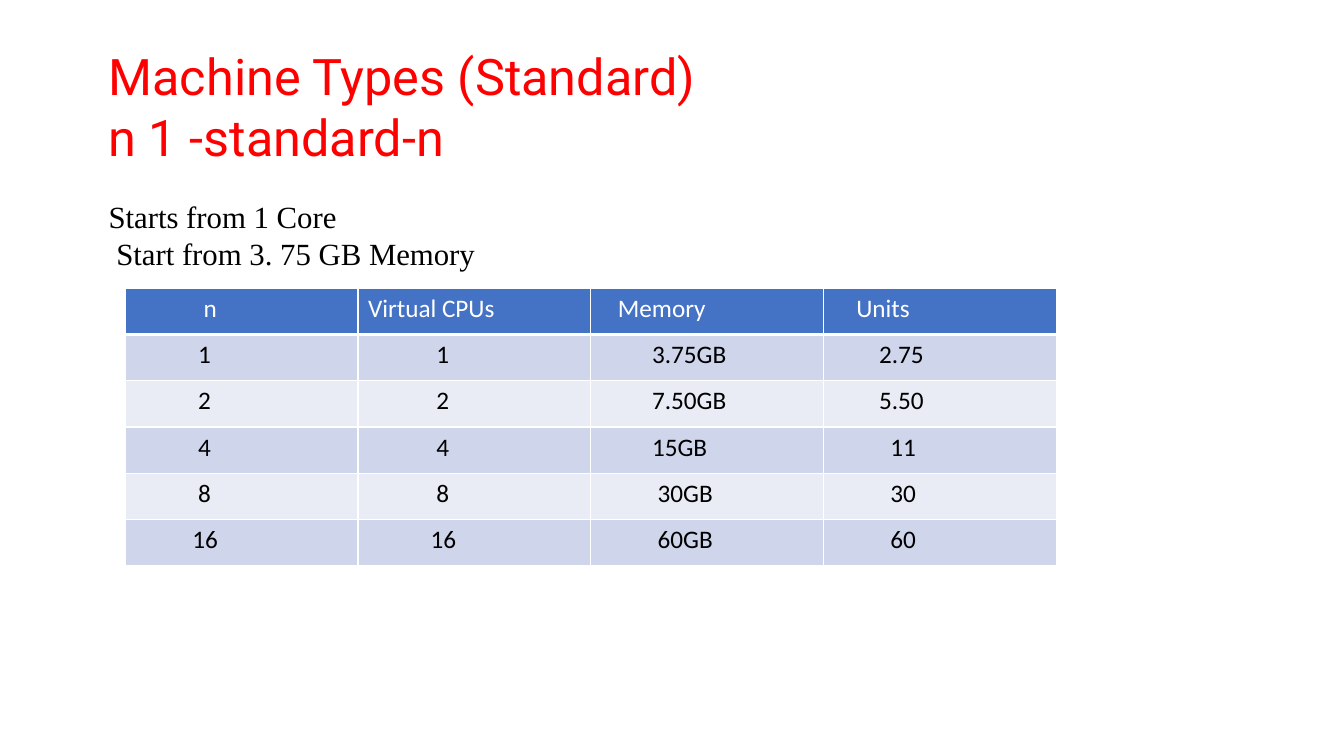
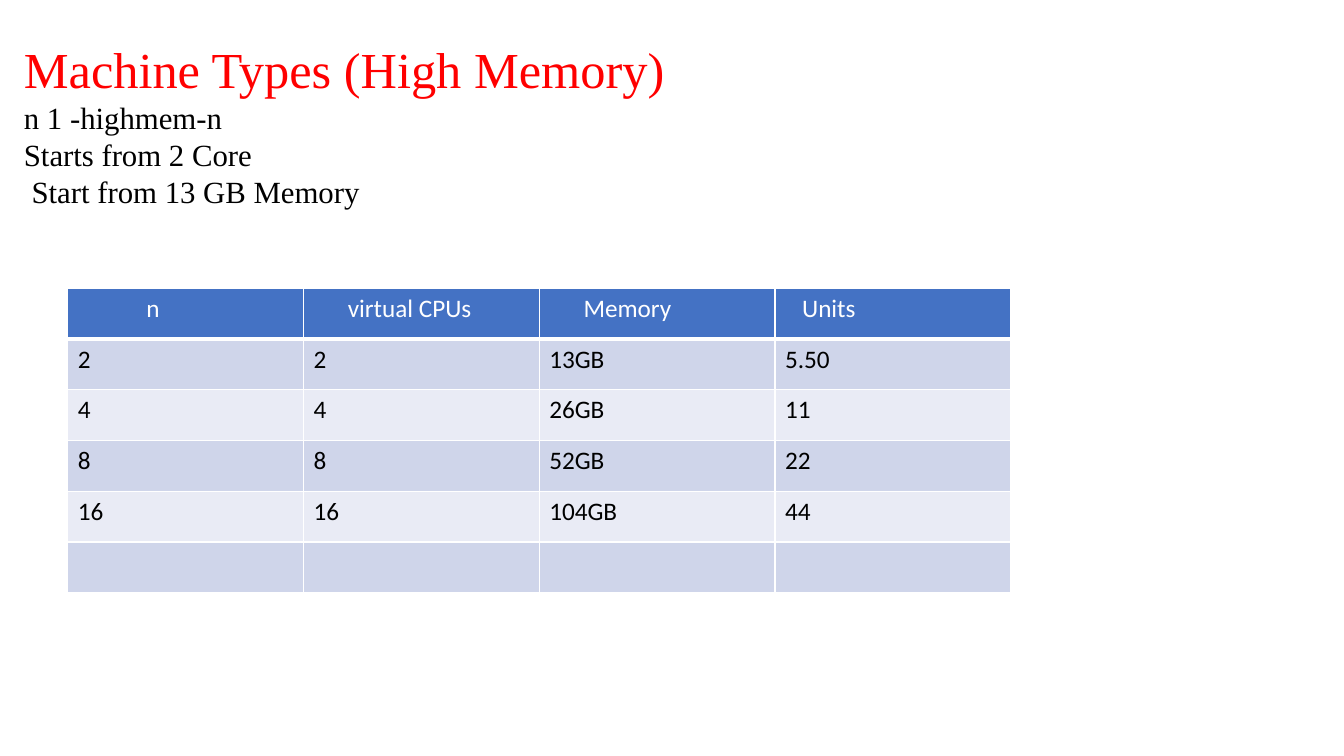
from pptx import Presentation
from pptx.dml.color import RGBColor
from pptx.enum.text import MSO_ANCHOR
from pptx.oxml import parse_xml
from pptx.oxml.ns import nsdecls
from pptx.util import Pt

RED = RGBColor(0xFF, 0x00, 0x00)
BLACK = RGBColor(0x00, 0x00, 0x00)
WHITE = RGBColor(0xFF, 0xFF, 0xFF)
HEADER_BLUE = RGBColor(0x44, 0x72, 0xC4)
BAND_DARK = RGBColor(0xCF, 0xD5, 0xEA)
BAND_LIGHT = RGBColor(0xE9, 0xEB, 0xF5)

SERIF = "Times New Roman"
ROBOTO_TITLE = {"name": "Roboto", "size": Pt(36), "color": RED}
SERIF_TITLE = {**ROBOTO_TITLE, "name": SERIF}
DETAIL = {"name": SERIF, "size": Pt(22), "color": BLACK}
HEADER = {"name": "Calibri", "size": Pt(18), "color": WHITE}
BODY = {**HEADER, "color": BLACK}

CELL_MARGIN = 7.2
INDENT_STEP = 4.07

STANDARD_ROWS = [
    ("n", "Virtual CPUs", "Memory", "Units"),
    ("1", "1", "3.75GB", "2.75"),
    ("2", "2", "7.50GB", "5.50"),
    ("4", "4", "15GB", "11"),
    ("8", "8", "30GB", "30"),
    ("16", "16", "60GB", "60"),
]
STANDARD_INDENTS = [
    (12, 0, 3, 4),
    (11, 12, 9, 8),
    (11, 12, 9, 8),
    (11, 12, 9, 10),
    (11, 12, 10, 10),
    (10, 11, 10, 10),
]
HIGH_MEMORY_ROWS = [
    ("n", "virtual CPUs", "Memory", "Units"),
    ("2", "2", "13GB", "5.50"),
    ("4", "4", "26GB", "11"),
    ("8", "8", "52GB", "22"),
    ("16", "16", "104GB", "44"),
    ("", "", "", ""),
]
HIGH_MEMORY_INDENTS = [(12, 6, 6, 3)] + [(0, 0, 0, 0)] * 5


def set_font(font, style):
    for attribute, value in style.items():
        if attribute == "color":
            font.color.rgb = value
        else:
            setattr(font, attribute, value)


def add_heading(slide, box, lines):
    frame = slide.shapes.add_textbox(*map(Pt, box)).text_frame
    frame.word_wrap = True
    for index, (text, style, gap) in enumerate(lines):
        paragraph = frame.add_paragraph() if index else frame.paragraphs[0]
        paragraph.space_before = Pt(gap)
        run = paragraph.add_run()
        run.text = text
        set_font(run.font, style)


def set_borders(cell, bottom_width):
    properties = cell._tc.get_or_add_tcPr()
    widths = {"lnL": 1, "lnR": 1, "lnT": 1, "lnB": bottom_width}
    for position, (side, width) in enumerate(widths.items()):
        border = parse_xml(
            f'<a:{side} {nsdecls("a")} w="{Pt(width)}"><a:solidFill>'
            f'<a:srgbClr val="{WHITE}"/></a:solidFill></a:{side}>'
        )
        properties.insert(position, border)


def fill_cell(cell, text, indent, row):
    style = BODY if row else HEADER
    banded = BAND_DARK if row % 2 else BAND_LIGHT
    cell.fill.solid()
    cell.fill.fore_color.rgb = banded if row else HEADER_BLUE
    set_borders(cell, 1 if row else 3)
    cell.vertical_anchor = MSO_ANCHOR.TOP
    cell.margin_left = Pt(CELL_MARGIN + indent * INDENT_STEP)
    paragraph = cell.text_frame.paragraphs[0]
    set_font(paragraph.font, style)
    if text:
        run = paragraph.add_run()
        run.text = text
        set_font(run.font, style)


def add_machine_table(slide, box, rows, indents):
    table = slide.shapes.add_table(len(rows), len(rows[0]), *map(Pt, box)).table
    for row, (texts, steps) in enumerate(zip(rows, indents)):
        for column, (text, indent) in enumerate(zip(texts, steps)):
            fill_cell(table.cell(row, column), text, indent, row)


def main():
    deck = Presentation()
    deck.slide_width, deck.slide_height = Pt(960), Pt(540)
    blank = deck.slide_layouts[6]

    standard = deck.slides.add_slide(blank)
    add_heading(standard, (70.5, 29, 622, 170), [
        ("Machine Types (Standard)", ROBOTO_TITLE, 0),
        ("n 1 -standard-n", ROBOTO_TITLE, 0),
        ("Starts from 1 Core", DETAIL, 22),
        (" Start from 3. 75 GB Memory", DETAIL, 0),
    ])
    add_machine_table(standard, (89.5, 206, 665, 198),
                      STANDARD_ROWS, STANDARD_INDENTS)

    high_memory = deck.slides.add_slide(blank)
    add_heading(high_memory, (10, 24, 558, 131), [
        ("Machine Types (High Memory)", SERIF_TITLE, 0),
        ("n 1 -highmem-n", DETAIL, 0),
        ("Starts from 2 Core", DETAIL, 0),
        (" Start from 13 GB Memory", DETAIL, 0),
    ])
    add_machine_table(high_memory, (48.5, 206, 673.5, 217.5),
                      HIGH_MEMORY_ROWS, HIGH_MEMORY_INDENTS)

    deck.save("out.pptx")


if __name__ == "__main__":
    main()
